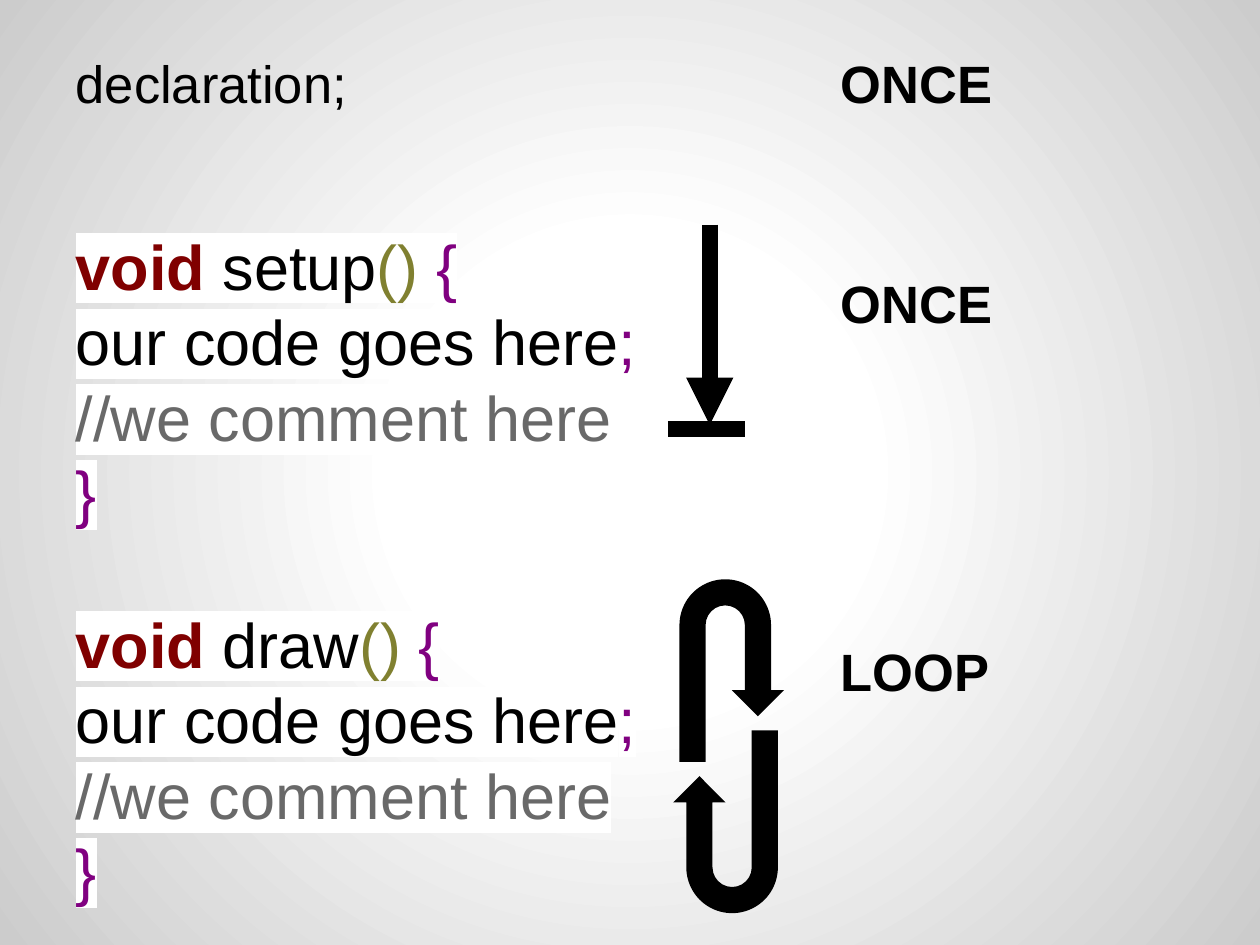
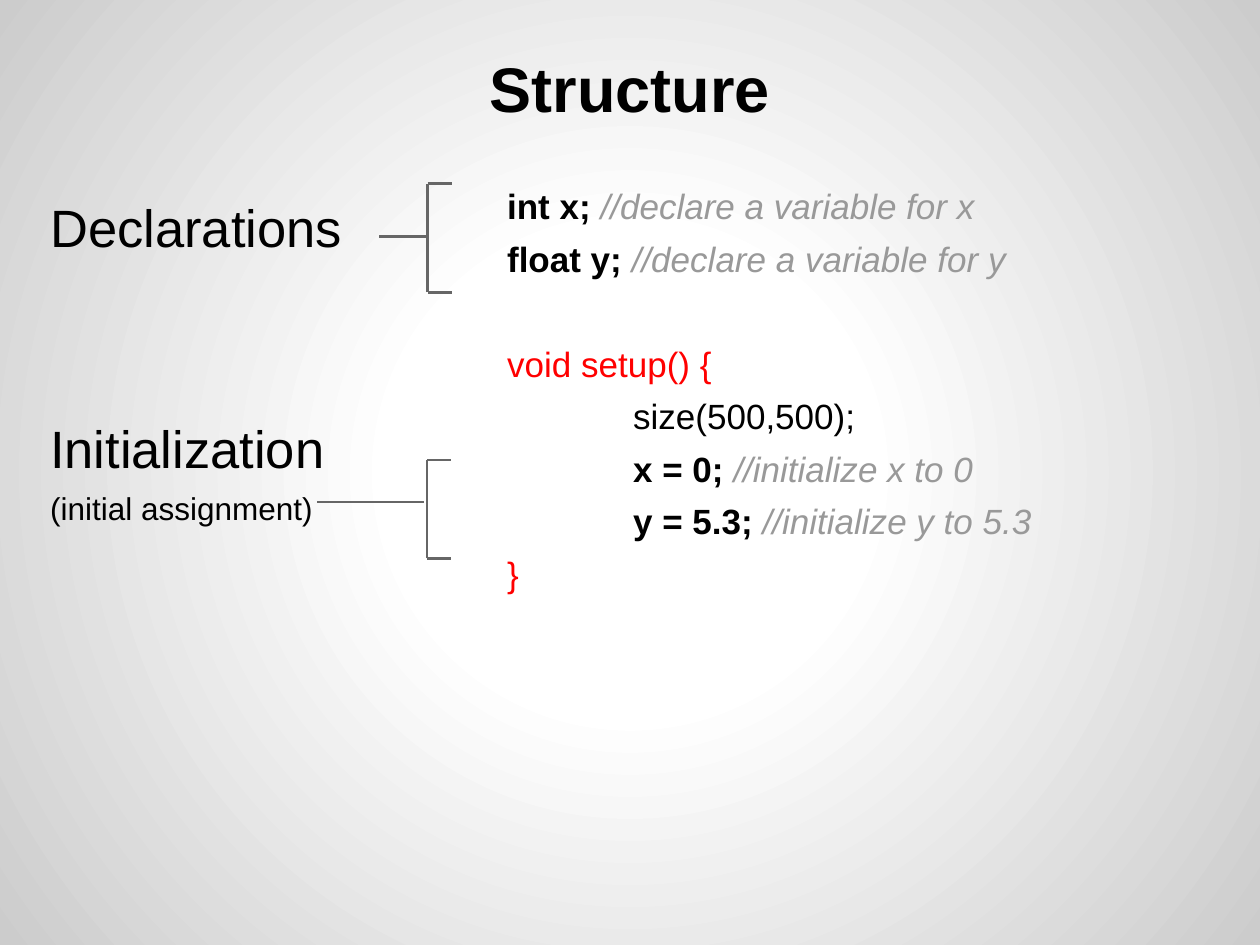
import lxml.etree
import pptx
import pptx.dml.color
import pptx.enum.shapes
import pptx.enum.text
import pptx.oxml
import pptx.oxml.ns
import pptx.util

Pt = pptx.util.Pt
RGBColor = pptx.dml.color.RGBColor
qn = pptx.oxml.ns.qn

BLACK = RGBColor(0x00, 0x00, 0x00)
WHITE = RGBColor(0xFF, 0xFF, 0xFF)
EDGE_GREY = RGBColor(0xCC, 0xCC, 0xCC)
BRACKET_GREY = RGBColor(0x66, 0x66, 0x66)
NOTE_GREY = RGBColor(0x99, 0x99, 0x99)
COMMENT_GREY = RGBColor(0x69, 0x69, 0x69)
KEYWORD_RED = RGBColor(0x80, 0x00, 0x00)
PAREN_OLIVE = RGBColor(0x80, 0x80, 0x30)
BRACE_PURPLE = RGBColor(0x80, 0x00, 0x80)
BRIGHT_RED = RGBColor(0xFF, 0x00, 0x00)

FONT = "Arial"
INSET = 7.2
LEADING = 1.2
GAP = 6
CODE_INDENT = 72
BACKDROP = ((0, WHITE), (30, WHITE), (100, EDGE_GREY))


class Deck:
    """Hold the shared style and the slide being built."""

    def __init__(self):
        self.presentation = pptx.Presentation()
        self.presentation.slide_width = Pt(720)
        self.presentation.slide_height = Pt(540)
        self.slide = None

    def new_slide(self):
        """Add a blank slide with the radial grey backdrop."""
        self.slide = self.presentation.slides.add_slide(self.presentation.slide_layouts[6])
        self.slide.background.fill.gradient()
        gradient = self.slide._element.find(".//" + qn("a:gradFill"))
        for child in list(gradient):
            gradient.remove(child)
        stops = lxml.etree.SubElement(gradient, qn("a:gsLst"))
        for percent, color in BACKDROP:
            stop = lxml.etree.SubElement(stops, qn("a:gs"), pos=str(percent * 1000))
            lxml.etree.SubElement(stop, qn("a:srgbClr"), val=str(color))
        circle = lxml.etree.SubElement(gradient, qn("a:path"), path="circle")
        center = dict.fromkeys("ltrb", "50000")
        lxml.etree.SubElement(circle, qn("a:fillToRect"), center)

    def format_run(self, run, size, color=BLACK, bold=False, italic=False, highlight=None):
        """Apply the font and an optional highlight to a run."""
        font = run.font
        font.name, font.size, font.bold, font.italic = FONT, Pt(size), bold, italic
        font.color.rgb = color
        if highlight is not None:
            mark = lxml.etree.Element(qn("a:highlight"))
            lxml.etree.SubElement(mark, qn("a:srgbClr"), val=str(highlight))
            run._r.rPr.find(qn("a:solidFill")).addnext(mark)

    def text(self, box, lines, size, indented=(), **shared):
        """Place lines given as (space before, [(text, style), ...])."""
        frame = self.slide.shapes.add_textbox(*map(Pt, box)).text_frame
        frame.word_wrap = True
        frame.margin_left = frame.margin_right = Pt(INSET)
        frame.margin_top = frame.margin_bottom = Pt(INSET)
        for number, (before, pieces) in enumerate(lines):
            paragraph = frame.add_paragraph() if number else frame.paragraphs[0]
            paragraph.space_before = Pt(before)
            largest = max(style.get("size", size) for _, style in pieces)
            paragraph.line_spacing = Pt(LEADING * largest)
            if number in indented:
                properties = paragraph._p.get_or_add_pPr()
                properties.set("marL", str(Pt(CODE_INDENT)))
                properties.set("indent", "0")
            for words, style in pieces:
                run = paragraph.add_run()
                run.text = words
                self.format_run(run, **{"size": size, **shared, **style})
        return frame

    def title(self, words):
        """Place the centred slide title."""
        frame = self.text((36, 27.8, 648, 51), [(0, [(words, {})])], 36, bold=True)
        frame.vertical_anchor = pptx.enum.text.MSO_ANCHOR.BOTTOM
        frame.paragraphs[0].alignment = pptx.enum.text.PP_ALIGN.CENTER

    def line(self, start, end, color, width, arrow=False):
        """Draw a straight line, with an arrowhead at its end if asked."""
        straight = pptx.enum.shapes.MSO_CONNECTOR.STRAIGHT
        connector = self.slide.shapes.add_connector(straight, *map(Pt, (*start, *end)))
        connector.line.color.rgb = color
        connector.line.width = Pt(width)
        properties = connector._element.spPr
        if arrow:
            lxml.etree.SubElement(properties.find(qn("a:ln")), qn("a:tailEnd"), type="triangle")
        lxml.etree.SubElement(properties, qn("a:effectLst"))

    def bracket(self, stem, stem_y, spine, top, bottom, arm_end):
        """Draw a square bracket with a stem reaching left to its label."""
        stem_start, stem_end = stem
        for start, end in (
            ((stem_start, stem_y), (stem_end, stem_y)),
            ((spine, bottom), (spine, top)),
            ((spine, top), (arm_end, top)),
            ((spine, bottom), (arm_end, bottom)),
        ):
            self.line(start, end, BRACKET_GREY, 1.5)

    def loop_arrow(self, left, top, rotation):
        """Draw one half of the loop as a U-turn arrow."""
        kind = pptx.enum.shapes.MSO_SHAPE.U_TURN_ARROW
        arrow = self.slide.shapes.add_shape(kind, Pt(left), Pt(top), Pt(59.8), Pt(104.4))
        for index, value in enumerate((0.25, 0.25, 0.25, 0.44, 0.75)):
            arrow.adjustments[index] = value
        arrow.rotation = rotation
        arrow.shadow.inherit = False
        arrow.fill.solid()
        arrow.fill.fore_color.rgb = BLACK
        arrow.line.fill.background()


def code_block(name, before):
    """Return the lines of one empty function."""
    brace = {"color": BRACE_PURPLE}
    return [
        (before, [
            ("void", {"color": KEYWORD_RED, "bold": True}),
            (f" {name}", {}),
            ("()", {"color": PAREN_OLIVE}),
            (" ", {}),
            ("{", brace),
        ]),
        (0, [("our code goes here", {}), (";", brace)]),
        (0, [("//we comment here", {"color": COMMENT_GREY})]),
        (0, [("}", brace)]),
    ]


def noted(code, note):
    """Return a line of bold code followed by a grey comment."""
    return GAP, [(code, {"bold": True}), (note, {"color": NOTE_GREY, "italic": True})]


def gap_of(blank_lines, size):
    """Return the space before a paragraph that follows skipped lines."""
    return GAP + blank_lines * (LEADING * size + GAP)


def build_run_order(deck):
    """Show which parts of a program run once and which loop."""
    deck.new_slide()
    functions = code_block("setup", GAP) + code_block("draw", LEADING * 36)
    deck.text((36.2, 122.6, 648, 391), functions, 36, highlight=WHITE)
    deck.line((405.6, 128.4), (405.6, 242.8), BLACK, 9, arrow=True)
    deck.line((381.6, 245), (426, 245), BLACK, 9)
    deck.text((36.2, 21.8, 648, 90), [(GAP, [("declaration;", {})])], 30)
    frequencies = (("ONCE", 0), ("ONCE", 2), ("LOOP", 4))
    labels = [(gap_of(skipped, 30), [(word, {})]) for word, skipped in frequencies]
    deck.text((473.2, 21.8, 185.8, 504), labels, 30, bold=True)
    deck.loop_arrow(388.3, 331, 0)
    deck.loop_arrow(384.7, 417.4, 180)


def build_structure(deck):
    """Show where variables are declared and initialized."""
    deck.new_slide()
    deck.title("Structure")
    deck.text((21.6, 104.4, 185.8, 391), [
        (GAP, [("Declarations", {})]),
        (gap_of(2, 30), [("Initialization", {})]),
        (GAP, [("(initial assignment)", {"size": 18})]),
    ], 30)
    red = {"color": BRIGHT_RED}
    deck.text((282.7, 98.4, 437.3, 391), [
        noted("int x; ", "//declare a variable for x"),
        noted("float y; ", "//declare a variable for y"),
        (gap_of(1, 20), [("void setup() {", red)]),
        (GAP, [("size(500,500);", {})]),
        noted("x = 0; ", "//initialize x to 0"),
        noted("y = 5.3; ", "//initialize y to 5.3"),
        (GAP, [("}", red)]),
    ], 20, indented=(3, 4, 5))
    deck.bracket((216.7, 243.4), 135.2, 244.4, 105, 167, 258.4)
    deck.bracket((181.4, 242.4), 286.8, 244.1, 262.9, 319, 257.8)


def main():
    """Build and save the two slides."""
    deck = Deck()
    build_run_order(deck)
    build_structure(deck)
    deck.presentation.save("out.pptx")


if __name__ == "__main__":
    main()
